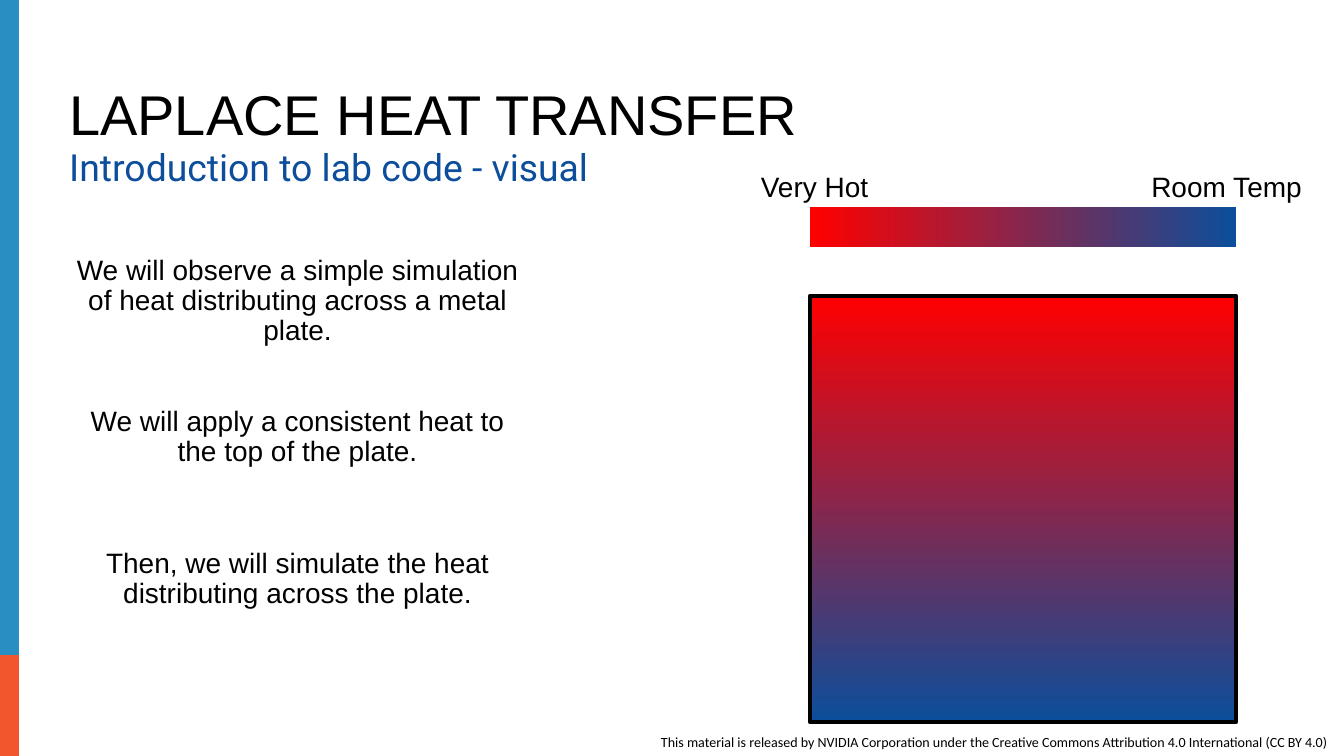
from dataclasses import dataclass

from pptx import Presentation
from pptx.dml.color import RGBColor as RGB
from pptx.enum.shapes import MSO_SHAPE as SHAPE
from pptx.enum.text import MSO_ANCHOR as ANCHOR, MSO_AUTO_SIZE as AUTO, PP_ALIGN as ALIGN
from pptx.oxml.ns import qn
from pptx.util import Pt

PX = 914400 // 112  # one px in EMU


@dataclass(frozen=True)
class Theme:
    black: str = "000000"
    orange: str = "F1562D"
    sky: str = "298EC2"
    hot: str = "FF0000"
    cool: str = "0C4E9B"
    title: int = 36
    subtitle: int = 24
    body: int = 18
    licence: int = 9


T = Theme()


def put_text(sp, text, box, size=T.body, font="Arial", color=T.black, align=ALIGN.LEFT,
             anchor=ANCHOR.TOP, spacing=0.9, wrap=True):
    """Place a text shape at box (px) and write one formatted paragraph."""
    sp.left, sp.top, sp.width, sp.height = [v * PX for v in box]
    tf = sp.text_frame
    tf.word_wrap, tf.auto_size, tf.vertical_anchor = wrap, AUTO.NONE, anchor
    p = tf.paragraphs[0]
    p.alignment, p.line_spacing = align, spacing
    p.space_before = p.space_after = Pt(0)
    r = p.add_run()
    r.text = text
    r.font.size, r.font.name = Pt(size), font
    r.font.color.rgb = RGB.from_string(color)
    return p


def add_rect(box, colors, angle=0, line=None):
    """Add a rectangle filled with one colour, or a gradient of two."""
    sp = s.shapes.add_shape(SHAPE.RECTANGLE, *[v * PX for v in box])
    sp.shadow.inherit = False
    if len(colors) == 1:
        sp.fill.solid()
        sp.fill.fore_color.rgb = RGB.from_string(colors[0])
    else:
        sp.fill.gradient()
        sp.fill.gradient_angle = angle
        for stop, color, pos in zip(sp.fill.gradient_stops, colors, (0, 1)):
            stop.color.rgb, stop.position = RGB.from_string(color), pos
    if line:
        sp.line.color.rgb, sp.line.width = RGB.from_string(T.black), Pt(line)
    else:
        sp.line.fill.background()


prs = Presentation()
prs.slide_width, prs.slide_height = 1344 * PX, 756 * PX
s = prs.slides.add_slide(prs.slide_layouts[1])

# Side band
add_rect((0, 655, 19, 101), [T.orange])
add_rect((0, 0, 19, 655), [T.sky])

# Title and subtitle
put_text(s.shapes.title, "LAPLACE HEAT TRANSFER", (58, 77, 768, 76),
         size=T.title, anchor=ANCHOR.BOTTOM)
p = put_text(s.placeholders[1], "Introduction to lab code - visual", (58, 144, 726, 64),
             size=T.subtitle, font="Roboto", color=T.cool)
pPr = p._p.get_or_add_pPr()
pPr.set("marL", "0")
pPr.set("indent", "0")
pPr.append(pPr.makeelement(qn("a:buNone"), {}))

# Temperature scale and metal plate
add_rect((810, 207, 426, 40), [T.hot, T.cool])
add_rect((810, 296, 426, 426), [T.hot, T.cool], angle=270, line=3)

# Scale labels
for text, x, w in [("Very Hot", 749, 131), ("Room Temp", 1139, 175)]:
    put_text(s.shapes.add_textbox(0, 0, 0, 0), text, (x, 168, w, 41),
             align=ALIGN.CENTER, anchor=ANCHOR.MIDDLE, wrap=False)

# Explanation
steps = [
    ("We will observe a simple simulation of heat distributing across a metal plate.", 250, 103),
    ("We will apply a consistent heat to the top of the plate.", 401, 73),
    ("Then, we will simulate the heat distributing across the plate.", 543, 73),
]
for text, y, h in steps:
    put_text(s.shapes.add_textbox(0, 0, 0, 0), text, (58, y, 479, h),
             align=ALIGN.CENTER, anchor=ANCHOR.MIDDLE)

# Licence line
sp = s.shapes.add_textbox(0, 0, 0, 0)
put_text(sp, "This material is released by NVIDIA Corporation under the Creative Commons "
         "Attribution 4.0 International (CC BY 4.0)", (650, 728, 694, 28),
         size=T.licence, font="Calibri", spacing=1.0)
sp.text_frame.margin_right = 0

prs.save("out.pptx")
